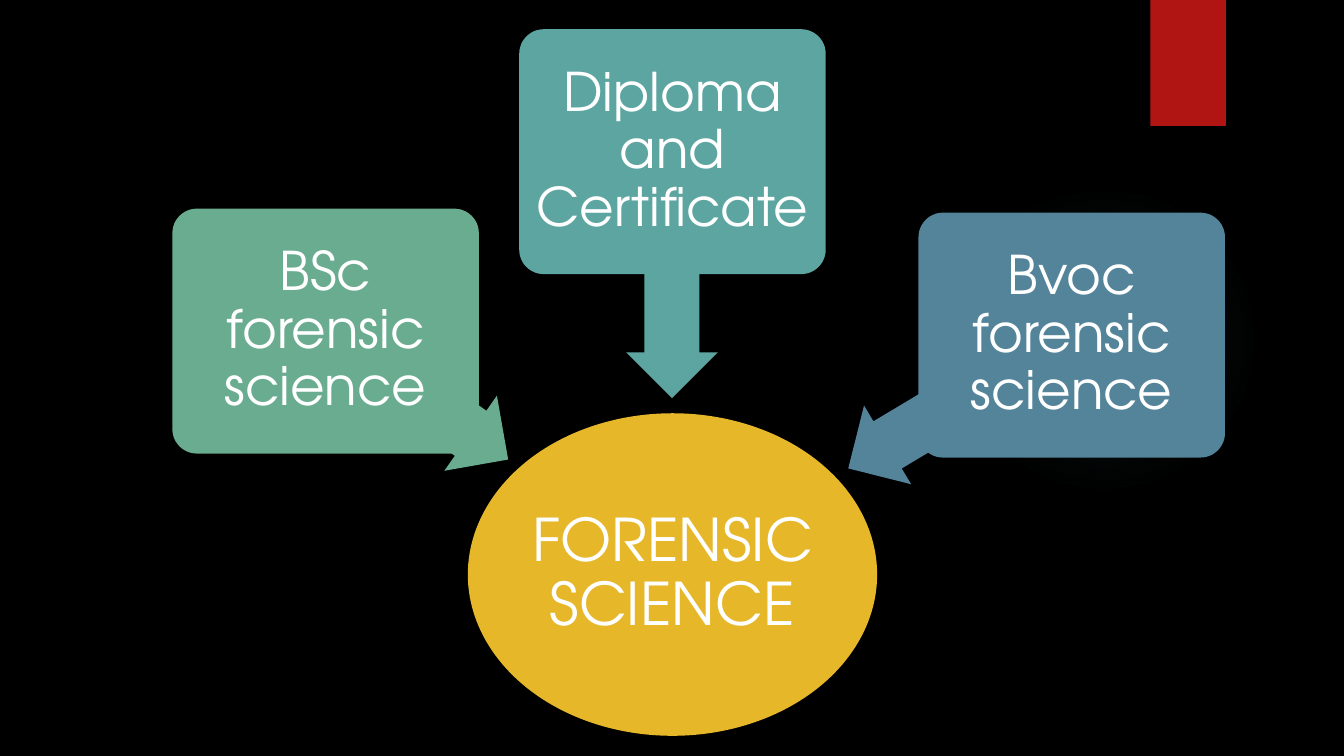
from lxml import etree
from pptx import Presentation
from pptx.dml.color import RGBColor
from pptx.enum.shapes import MSO_SHAPE
from pptx.enum.text import MSO_ANCHOR, PP_ALIGN
from pptx.oxml.ns import qn
from pptx.util import Inches, Pt

ELLIPSE = MSO_SHAPE.OVAL
RECTANGLE = MSO_SHAPE.RECTANGLE
ROUNDED = MSO_SHAPE.ROUNDED_RECTANGLE
LEFT_ARROW = MSO_SHAPE.LEFT_ARROW
MIDDLE = MSO_ANCHOR.MIDDLE
CENTER = PP_ALIGN.CENTER

FONT = "TeX Gyre Adventor"
BLACK = "000000"
WHITE = "FFFFFF"
RED = "B01513"
YELLOW = "E6B729"
GLOW = "50B9C1"
BOX_WIDTH, BOX_HEIGHT = 3.04, 2.43
ARROW_HEIGHT = 0.91

COURSES = [
    ("BSc forensic science", "6AAC90", (1.71, 2.07), (3.03, 3.47, 2.21), 215),
    ("Diploma and Certificate", "5DA5A1", (5.15, 0.29), (5.44, 2.27, 2.45), 270),
    ("Bvoc forensic science", "54849A", (9.11, 2.11), (8.23, 3.53, 2.58), 329.1),
]


def paint(fill, color):
    fill.solid()
    fill.fore_color.rgb = RGBColor.from_string(color)


def add_block(slide, kind, left, top, width, height, color):
    block = slide.shapes.add_shape(
        kind, Inches(left), Inches(top), Inches(width), Inches(height))
    block.shadow.inherit = False
    block.line.fill.background()
    paint(block.fill, color)
    return block


def add_label(block, text, size, inset):
    frame = block.text_frame
    frame.word_wrap = True
    frame.vertical_anchor = MIDDLE
    frame.margin_left = frame.margin_right = Inches(inset)
    frame.margin_top = frame.margin_bottom = Inches(inset)
    frame.text = text
    paragraph = frame.paragraphs[0]
    paragraph.alignment = CENTER
    paragraph.line_spacing = 0.9
    font = paragraph.runs[0].font
    font.name = FONT
    font.size = Pt(size)
    font.color.rgb = RGBColor.from_string(WHITE)


def add_glow(slide):
    glow = add_block(slide, ELLIPSE, 9.41, 1.83, 3.08, 3.08, GLOW)
    solid = glow.fill._xPr.find(qn("a:solidFill"))
    gradient = etree.Element(qn("a:gradFill"))
    stops = etree.SubElement(gradient, qn("a:gsLst"))
    for position, opacity in ((0, 7), (36, 6), (69, 0)):
        stop = etree.SubElement(stops, qn("a:gs"), pos=str(position * 1000))
        color = etree.SubElement(stop, qn("a:srgbClr"), val=GLOW)
        etree.SubElement(color, qn("a:alpha"), val=str(opacity * 1000))
    circle = etree.SubElement(gradient, qn("a:path"), path="circle")
    etree.SubElement(circle, qn("a:fillToRect"),
                     l="50000", t="50000", r="50000", b="50000")
    solid.getparent().replace(solid, gradient)


def add_course(slide, text, color, box_corner, arrow_place, angle):
    arrow = add_block(slide, LEFT_ARROW, *arrow_place, ARROW_HEIGHT, color)
    arrow.adjustments[0] = 0.6
    arrow.adjustments[1] = 0.5
    arrow.rotation = angle
    box = add_block(slide, ROUNDED, *box_corner, BOX_WIDTH, BOX_HEIGHT, color)
    box.adjustments[0] = 0.1
    add_label(box, text, 38, 0.08)


def main():
    prs = Presentation()
    prs.slide_width = Inches(13.33)
    prs.slide_height = Inches(7.5)
    slide = prs.slides.add_slide(prs.slide_layouts[6])
    paint(slide.background.fill, BLACK)
    add_glow(slide)
    add_block(slide, RECTANGLE, 11.41, 0, 0.75, 1.25, RED)
    subject = add_block(slide, ELLIPSE, 4.64, 4.1, 4.06, 3.2, YELLOW)
    add_label(subject, "FORENSIC SCIENCE", 42, 0.03)
    for course in COURSES:
        add_course(slide, *course)
    prs.save("out.pptx")


if __name__ == "__main__":
    main()
